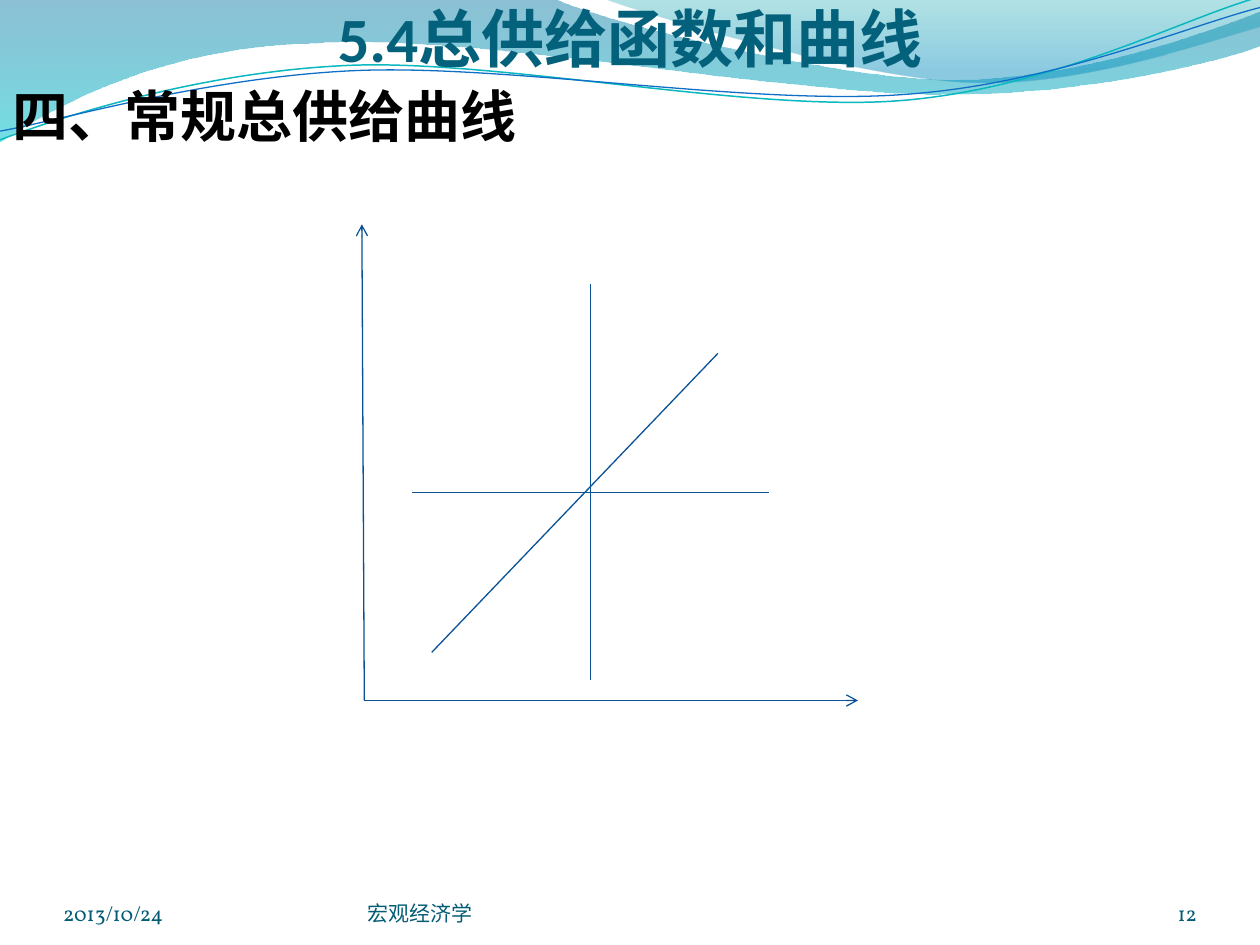
from dataclasses import dataclass
from itertools import chain
from typing import Any, NamedTuple

from lxml.etree import SubElement
from pptx import Presentation
from pptx.dml.color import RGBColor as Color
from pptx.enum.text import MSO_ANCHOR as Anchor, MSO_AUTO_SIZE as AutoSize, PP_ALIGN as Align
from pptx.enum.shapes import MSO_CONNECTOR as Connector
from pptx.oxml.ns import qn
from pptx.util import Pt

Point = tuple[float, float]


@dataclass(frozen=True)
class Theme:
    title: str = "04617B"
    body: str = "000000"
    footer: str = "045D75"
    graph: str = "095295"
    title_size: float = 36
    body_size: float = 32
    footer_size: float = 12
    title_font: str = "Calibri"
    body_font: str = "Arial"
    footer_font: str = "Vollkorn"
    thin: float = 0.75


THEME = Theme()


class Stop(NamedTuple):
    position: float
    color: str
    opacity: int


class Wave(NamedTuple):
    start: Point
    segments: list[list[Point]]
    stops: tuple[Stop, ...] = ()
    color: str = ""
    width: float = 0


class GraphLine(NamedTuple):
    start: Point
    end: Point
    arrow: bool = False


class Label(NamedTuple):
    text: str
    left: float
    width: float
    align: Align


WAVES = [
    Wave((0, 0), [
        [(316.8, -0.7)],
        [(342.7, 12.2), (478.1, 45.4), (545.8, 45.4)],
        [(614.2, 45.4), (689.8, 18.7), (720, 6.5)],
        [(720.7, 25.9)],
        [(707.8, 31.7), (626.4, 54.7), (537.1, 54)],
        [(447.8, 54), (275, 20.2), (185, 24.5)],
        [(92.9, 25.9), (33.1, 59.8), (-0.7, 81.4)],
        [(0, 0)],
    ], (Stop(0, "0074A1", 45), Stop(1, "00C6CF", 55))),
    Wave((344.9, -0.7), [
        [(366.5, 7.9), (491, 44.6), (553.7, 46.8)],
        [(616.3, 49.7), (691.9, 23), (720, 15.1)],
        [(720, 0)],
        [(344.9, -0.7)],
    ], (Stop(0, "00A1A9", 30), Stop(0.8, "008BBF", 45))),
    Wave((0, 79.9), [
        [(34.6, 67), (113.8, 41), (199.4, 37.4)],
        [(284.4, 33.8), (427, 64.1), (513.4, 57.6)],
        [(599.8, 51.1), (675.4, 10.8), (718.6, -1.4)],
    ], color="0AB8BF", width=0.85),
    Wave((0, 74.9), [
        [(33.8, 69.1), (118.1, 43.9), (203.8, 40.3)],
        [(290.2, 36.7), (429.8, 60.5), (516.2, 54)],
        [(601.9, 48.2), (677.5, 15.1), (720, 4.3)],
    ], color="0F6FC6", width=0.75),
]

ORIGIN = (208.2, 400.3)
GRAPH_LINES = [
    GraphLine(ORIGIN, (490.3, 400.3), True),
    GraphLine(ORIGIN, (206.8, 128.2), True),
    GraphLine((337.4, 162), (337.4, 388.8)),
    GraphLine((439.2, 281.5), (235.4, 281.5)),
    GraphLine((410.2, 202), (246.7, 372.8)),
]

FOOTERS = [
    Label("2013/10/24", 36, 168, Align.LEFT),
    Label("宏观经济学", 210, 264, Align.LEFT),
    Label("12", 624, 60, Align.RIGHT),
]


def apply(target: Any, values: dict[str, Any]) -> None:
    for name, value in values.items():
        setattr(target, name, value)


def bend_segments(shape: Any, segments: list[list[Point]]) -> None:
    lines = iter(list(shape.element.spPr.iter(qn("a:lnTo"))))
    for segment in segments:
        first, *others = [next(lines) for _ in segment]
        if not others:
            continue
        curve = SubElement(first.getparent(), qn("a:cubicBezTo"))
        first.addprevious(curve)
        for line in (first, *others):
            curve.append(line[0])
            line.getparent().remove(line)


def draw_wave(slide: Any, wave: Wave) -> None:
    points = [wave.start, *chain.from_iterable(wave.segments)]
    corners = [(Pt(x), Pt(y)) for x, y in points]
    builder = slide.shapes.build_freeform(*corners[0])
    builder.add_line_segments(corners[1:], close=bool(wave.stops))
    shape = builder.convert_to_shape()
    bend_segments(shape, wave.segments)
    shape.shadow.inherit = False
    if not wave.stops:
        shape.fill.background()
        shape.line.color.rgb = Color.from_string(wave.color)
        shape.line.width = Pt(wave.width)
        return
    shape.line.fill.background()
    shape.fill.gradient()
    shape.fill.gradient_angle = 270
    for stop, value in zip(shape.fill.gradient_stops, wave.stops):
        stop.position = value.position
        stop.color.rgb = Color.from_string(value.color)
    for element, value in zip(shape.element.spPr.iter(qn("a:srgbClr")), wave.stops):
        SubElement(element, qn("a:alpha"), val=str(value.opacity * 1000))


def draw_graph_line(slide: Any, line: GraphLine) -> None:
    ends = [Pt(value) for value in (*line.start, *line.end)]
    connector = slide.shapes.add_connector(Connector.STRAIGHT, *ends)
    connector.line.color.rgb = Color.from_string(THEME.graph)
    connector.line.width = Pt(THEME.thin)
    if line.arrow:
        SubElement(connector.line._get_or_add_ln(), qn("a:tailEnd"), type="arrow")
    SubElement(connector.element.spPr, qn("a:effectLst"))


def set_text(shape: Any, text: str, box: tuple, insets: tuple, anchor: Anchor,
             align: Align, font: str, size: float, color: str, bold: bool) -> None:
    apply(shape, dict(zip(("left", "top", "width", "height"), map(Pt, box))))
    frame = shape.text_frame
    margins = ("margin_left", "margin_top", "margin_right", "margin_bottom")
    apply(frame, dict(zip(margins, map(Pt, insets))))
    apply(frame, {"word_wrap": True, "auto_size": AutoSize.NONE, "vertical_anchor": anchor})
    paragraph = frame.paragraphs[0]
    paragraph.alignment = align
    run = paragraph.add_run()
    run.text = text
    apply(run.font, {"name": font, "size": Pt(size), "bold": bold})
    run.font.color.rgb = Color.from_string(color)


def main() -> None:
    presentation = Presentation()
    apply(presentation, {"slide_width": Pt(720), "slide_height": Pt(540)})
    slide = presentation.slides.add_slide(presentation.slide_layouts[5])
    for wave in WAVES:
        draw_wave(slide, wave)

    title = slide.shapes.title
    title.element.getparent().append(title.element)
    set_text(title, "5.4总供给函数和曲线", (36, 0, 648, 43.2), (0, 3.6, 0, 0), Anchor.BOTTOM,
             Align.CENTER, THEME.title_font, THEME.title_size, THEME.title, True)

    body = slide.shapes.add_textbox(0, 0, 0, 0)
    set_text(body, "四、常规总供给曲线", (0, 43.2, 720, 455), (7.2, 3.6, 7.2, 3.6), Anchor.TOP,
             Align.LEFT, THEME.body_font, THEME.body_size, THEME.body, True)

    for label in FOOTERS:
        footer = slide.shapes.add_textbox(0, 0, 0, 0)
        set_text(footer, label.text, (label.left, 500.4, label.width, 28.8), (0, 0, 0, 0),
                 Anchor.BOTTOM, label.align, THEME.footer_font, THEME.footer_size,
                 THEME.footer, False)

    for line in GRAPH_LINES:
        draw_graph_line(slide, line)
    presentation.save("out.pptx")


if __name__ == "__main__":
    main()
